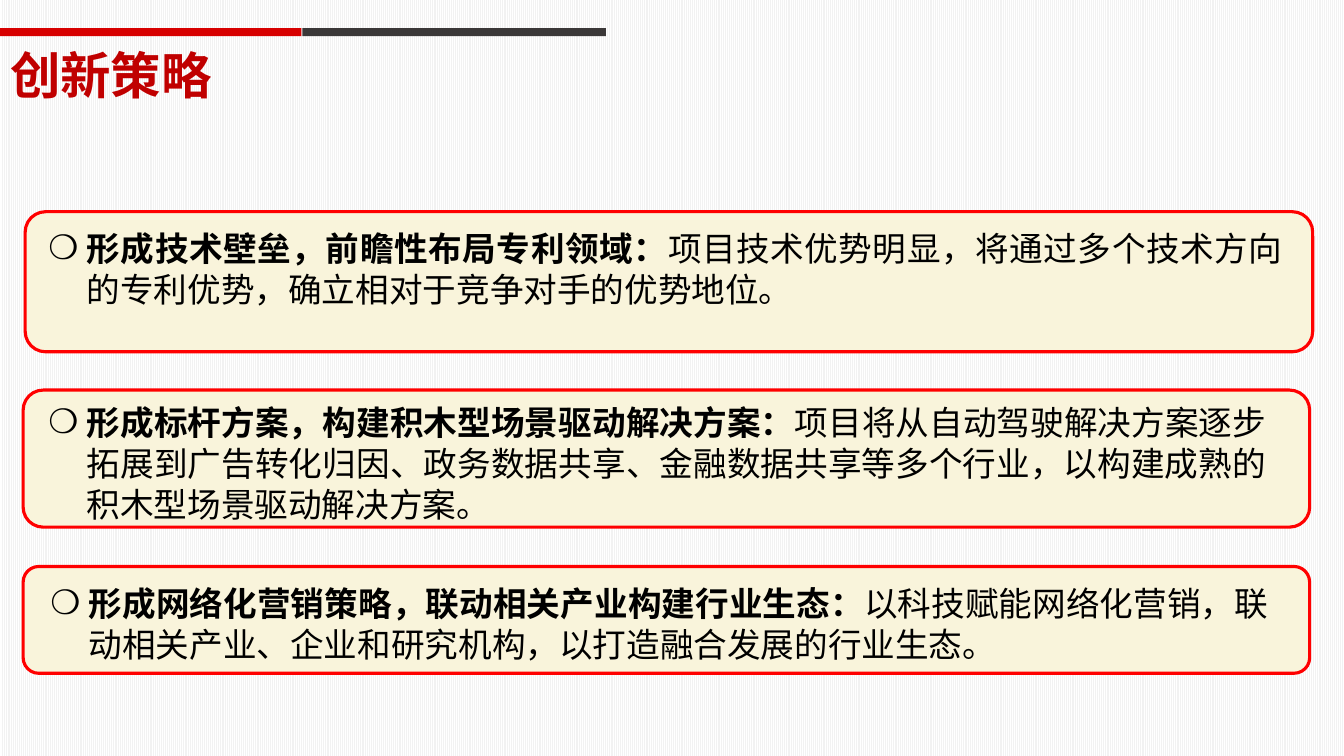
from dataclasses import dataclass

from lxml.etree import SubElement
from pptx import Presentation
from pptx.dml.color import RGBColor
from pptx.enum.dml import MSO_PATTERN
from pptx.enum.shapes import MSO_SHAPE
from pptx.enum.text import MSO_ANCHOR, MSO_AUTO_SIZE, PP_ALIGN
from pptx.oxml.ns import qn
from pptx.shapes.autoshape import Shape
from pptx.slide import Slide
from pptx.text.text import _Run
from pptx.util import Pt

EMU_PER_PX = 9144  # 100 px to the inch

TITLE_RED = RGBColor(0xC0, 0x00, 0x00)
BAR_RED = RGBColor(0xD7, 0x00, 0x00)
BAR_GREY = RGBColor(0x3B, 0x38, 0x38)
CARD_CREAM = RGBColor(0xF9, 0xF4, 0xDB)
CARD_RED = RGBColor(0xFF, 0x00, 0x00)
STRIPE_GREY = RGBColor(0xF2, 0xF2, 0xF2)
WHITE = RGBColor(0xFF, 0xFF, 0xFF)
BLACK = RGBColor(0x00, 0x00, 0x00)

TITLE_FONT = "Montserrat"
BODY_FONT = "Noto Sans CJK SC"


@dataclass(frozen=True)
class Box:
    left: int
    top: int
    width: int
    height: int


@dataclass(frozen=True)
class Strategy:
    card: Box
    text_box: Box
    heading: str
    detail: str


STRATEGIES = [
    Strategy(
        Box(25, 210, 1277, 139), Box(15, 217, 1267, 91),
        "形成技术壁垒，前瞻性布局专利领域：",
        "项目技术优势明显，将通过多个技术方向的专利优势，确立相对于竞争对手的优势地位。",
    ),
    Strategy(
        Box(23, 387, 1276, 136), Box(15, 390, 1251, 131),
        "形成标杆方案，构建积木型场景驱动解决方案：",
        "项目将从自动驾驶解决方案逐步拓展到广告转化归因、政务数据共享、"
        "金融数据共享等多个行业，以构建成熟的积木型场景驱动解决方案。",
    ),
    Strategy(
        Box(23, 562, 1276, 106), Box(17, 570, 1251, 91),
        "形成网络化营销策略，联动相关产业构建行业生态：",
        "以科技赋能网络化营销，联动相关产业、企业和研究机构，以打造融合发展的行业生态。",
    ),
]


def px(length: int) -> int:
    return length * EMU_PER_PX


def place(shape: Shape, box: Box) -> None:
    shape.left, shape.top = px(box.left), px(box.top)
    shape.width, shape.height = px(box.width), px(box.height)


def add_filled(slide: Slide, kind: MSO_SHAPE, box: Box, color: RGBColor) -> Shape:
    shape = slide.shapes.add_shape(
        kind, px(box.left), px(box.top), px(box.width), px(box.height))
    shape.shadow.inherit = False
    shape.fill.solid()
    shape.fill.fore_color.rgb = color
    shape.line.fill.background()
    return shape


def add_card(slide: Slide, box: Box) -> None:
    card = add_filled(slide, MSO_SHAPE.ROUNDED_RECTANGLE, box, CARD_CREAM)
    card.adjustments[0] = 0.146
    card.line.color.rgb = CARD_RED
    card.line.width = Pt(2.25)


def format_run(run: _Run, font: str, size: int, color: RGBColor, bold: bool) -> None:
    run.font.size = Pt(size)
    run.font.bold = bold
    run.font.color.rgb = color
    run.font.name = font
    SubElement(run.font._element, qn("a:ea"), typeface=font)


def prepare_text(shape: Shape, box: Box) -> None:
    place(shape, box)
    frame = shape.text_frame
    frame.word_wrap = True
    frame.auto_size = MSO_AUTO_SIZE.SHAPE_TO_FIT_TEXT
    frame.vertical_anchor = MSO_ANCHOR.TOP
    frame.margin_left = frame.margin_right = px(10)
    frame.margin_top = frame.margin_bottom = px(5)


def fill_title(title: Shape) -> None:
    prepare_text(title, Box(0, 39, 989, 71))
    title.text_frame.text = "创新策略"
    paragraph = title.text_frame.paragraphs[0]
    paragraph.alignment = PP_ALIGN.LEFT
    format_run(paragraph.runs[0], TITLE_FONT, 36, TITLE_RED, True)


def fill_strategy(body: Shape, strategy: Strategy) -> None:
    prepare_text(body, strategy.text_box)
    body.text_frame.margin_top = px(8)
    body.text_frame.margin_bottom = px(2)
    paragraph = body.text_frame.paragraphs[0]
    # Hanging bullet
    properties = paragraph._p.get_or_add_pPr()
    properties.set("marL", str(px(61)))
    properties.set("indent", str(px(-38)))
    SubElement(properties, qn("a:buChar"), char="❍")
    paragraph.alignment = PP_ALIGN.JUSTIFY
    paragraph.space_before = Pt(0)
    paragraph.line_spacing = Pt(29.25)
    # Bold heading followed by plain detail
    for text, bold in ((strategy.heading, True), (strategy.detail, False)):
        run = paragraph.add_run()
        run.text = text
        format_run(run, BODY_FONT, 24, BLACK, bold)


def main() -> None:
    presentation = Presentation()
    presentation.slide_width, presentation.slide_height = px(1333), px(750)
    comparison_layout = presentation.slide_layouts[4]
    slide = presentation.slides.add_slide(comparison_layout)

    # Striped background
    background = slide.background.fill
    background.patterned()
    background.pattern = MSO_PATTERN.NARROW_VERTICAL
    background.fore_color.rgb = STRIPE_GREY
    background.back_color.rgb = WHITE

    # Title and the two-colour bar above it
    fill_title(slide.shapes.title)
    for left, color in ((-2, BAR_RED), (300, BAR_GREY)):
        add_filled(slide, MSO_SHAPE.RECTANGLE, Box(left, 28, 301, 8), color)

    # Strategy cards, each with its text in front
    bodies = [shape for shape in slide.placeholders
              if shape.placeholder_format.idx in range(1, 5)]
    for body, strategy in zip(bodies, STRATEGIES):
        add_card(slide, strategy.card)
        fill_strategy(body, strategy)
        slide.shapes._spTree.append(body._element)

    # Unused placeholders
    for body in bodies[len(STRATEGIES):]:
        slide.shapes._spTree.remove(body._element)

    presentation.save("out.pptx")


if __name__ == "__main__":
    main()
